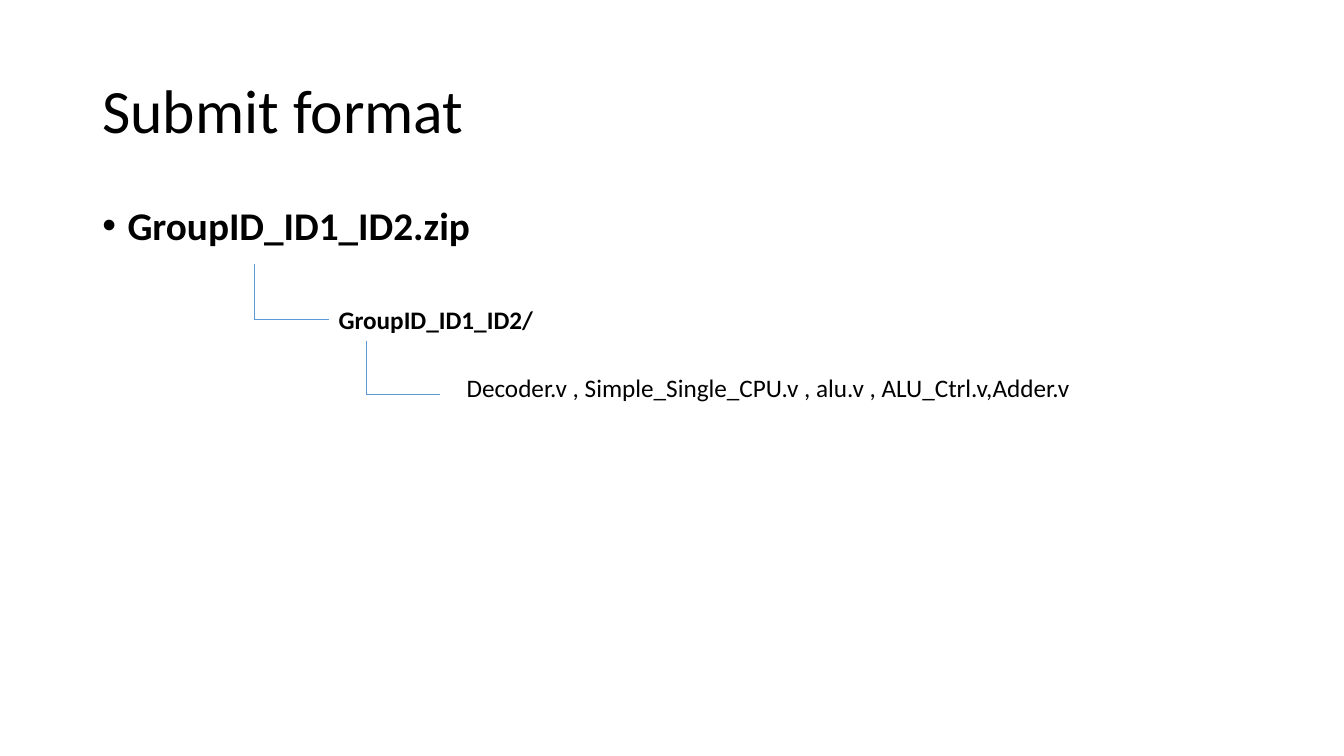
import pptx
import pptx.dml.color
import pptx.enum.shapes
import pptx.enum.text
import pptx.oxml
import pptx.oxml.ns
import pptx.util

BLACK = pptx.dml.color.RGBColor(0x00, 0x00, 0x00)
BRANCH_BLUE = pptx.dml.color.RGBColor(0x5B, 0x9B, 0xD5)

COLUMNS, ROWS = 40, 30
ARM = 2.22  # columns from a branch's stem to its tip


def write_text(frame, text, size, bold=False, line_spacing=None, space_before=0, bullet=None):
    """Fill the frame's paragraph with formatted text."""
    paragraph = frame.paragraphs[0]
    paragraph.line_spacing = line_spacing
    paragraph.space_before = pptx.util.Pt(space_before)
    run = paragraph.add_run()
    run.text = text
    run.font.name = "Calibri"
    run.font.size = pptx.util.Pt(size)
    run.font.bold = bold
    run.font.color.rgb = BLACK
    if bullet:
        properties = paragraph._p.get_or_add_pPr()
        indent = pptx.util.Inches(0.25)
        properties.set("marL", str(indent))
        properties.set("indent", str(-indent))
        namespace = pptx.oxml.ns.nsdecls("a")
        for xml in (f'<a:buFont {namespace} typeface="Arial"/>',
                    f'<a:buChar {namespace} char="{bullet}"/>'):
            properties.append(pptx.oxml.parse_xml(xml))


class SlideBuilder:
    """Holds the grid, the line style and the current slide."""

    line_color = BRANCH_BLUE
    line_width = pptx.util.Pt(0.5)

    def __init__(self, presentation):
        self.column = presentation.slide_width / COLUMNS
        self.row = presentation.slide_height / ROWS
        self.slide = presentation.slides.add_slide(presentation.slide_layouts[6])

    def place(self, column, row):
        return round(column * self.column), round(row * self.row)

    def text(self, text, column, row, columns, rows, wrap=True, grow=False,
             anchor=pptx.enum.text.MSO_ANCHOR.TOP, **text_format):
        shape = self.slide.shapes.add_textbox(*self.place(column, row), *self.place(columns, rows))
        frame = shape.text_frame
        frame.word_wrap = wrap
        frame.vertical_anchor = anchor
        sizing = pptx.enum.text.MSO_AUTO_SIZE
        frame.auto_size = sizing.SHAPE_TO_FIT_TEXT if grow else sizing.NONE
        write_text(frame, text, **text_format)
        return shape

    def line(self, start, end):
        connector = self.slide.shapes.add_connector(
            pptx.enum.shapes.MSO_CONNECTOR.STRAIGHT, *self.place(*start), *self.place(*end))
        connector.line.color.rgb = self.line_color
        connector.line.width = self.line_width
        connector._element.spPr.append(
            pptx.oxml.parse_xml(f'<a:effectLst {pptx.oxml.ns.nsdecls("a")}/>'))
        return connector

    def branch(self, column, top, bottom):
        """Draw a stem and its arm; return the arm."""
        self.line((column, top), (column, bottom))
        return self.line((column, bottom), (column + ARM, bottom))


def main():
    presentation = pptx.Presentation()
    presentation.slide_width = pptx.util.Inches(13.33)
    presentation.slide_height = pptx.util.Inches(7.5)
    builder = SlideBuilder(presentation)

    # Title and archive name
    builder.text("Submit format", 2.75, 1.6, 34.5, 5.8, size=44, line_spacing=0.9,
                 anchor=pptx.enum.text.MSO_ANCHOR.MIDDLE)
    builder.text("GroupID_ID1_ID2.zip", 2.75, 8, 34.5, 19.04, size=28, bold=True,
                 line_spacing=0.9, space_before=10, bullet="•")

    # Folder inside the archive
    folder_arm = builder.branch(7.56, 10.48, 12.68)
    folder = builder.text("GroupID_ID1_ID2/", 9.78, 11.88, 20, 1.6, size=18, bold=True, grow=True)
    folder_arm.end_connect(folder, 1)

    # Files inside the folder
    builder.branch(10.89, 13.52, 15.64)
    builder.text("Decoder.v , Simple_Single_CPU.v , alu.v , ALU_Ctrl.v,Adder.v",
                 13.59, 14.56, 18.93, 1.6, size=18, wrap=False, grow=True)

    presentation.save("out.pptx")


if __name__ == "__main__":
    main()
